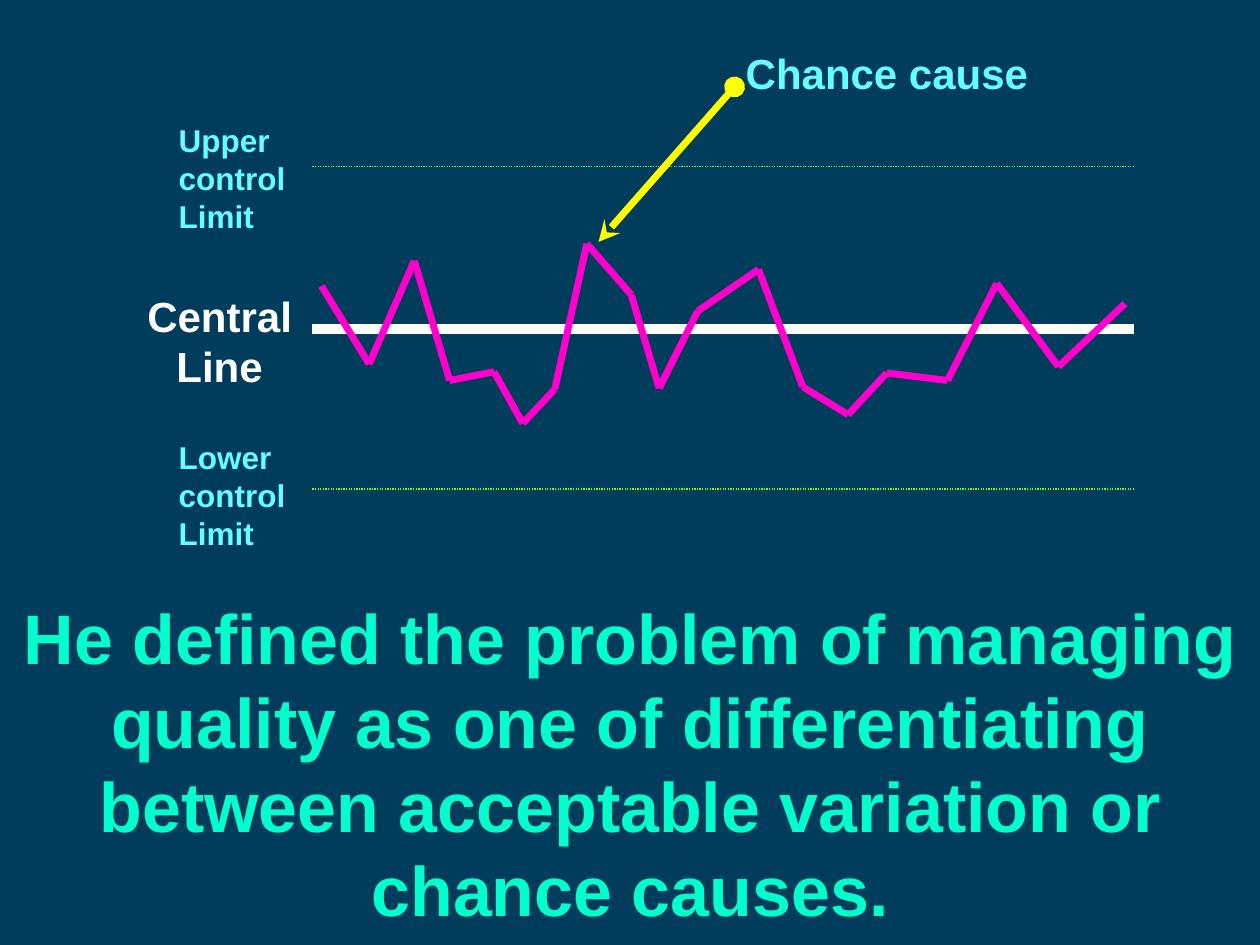
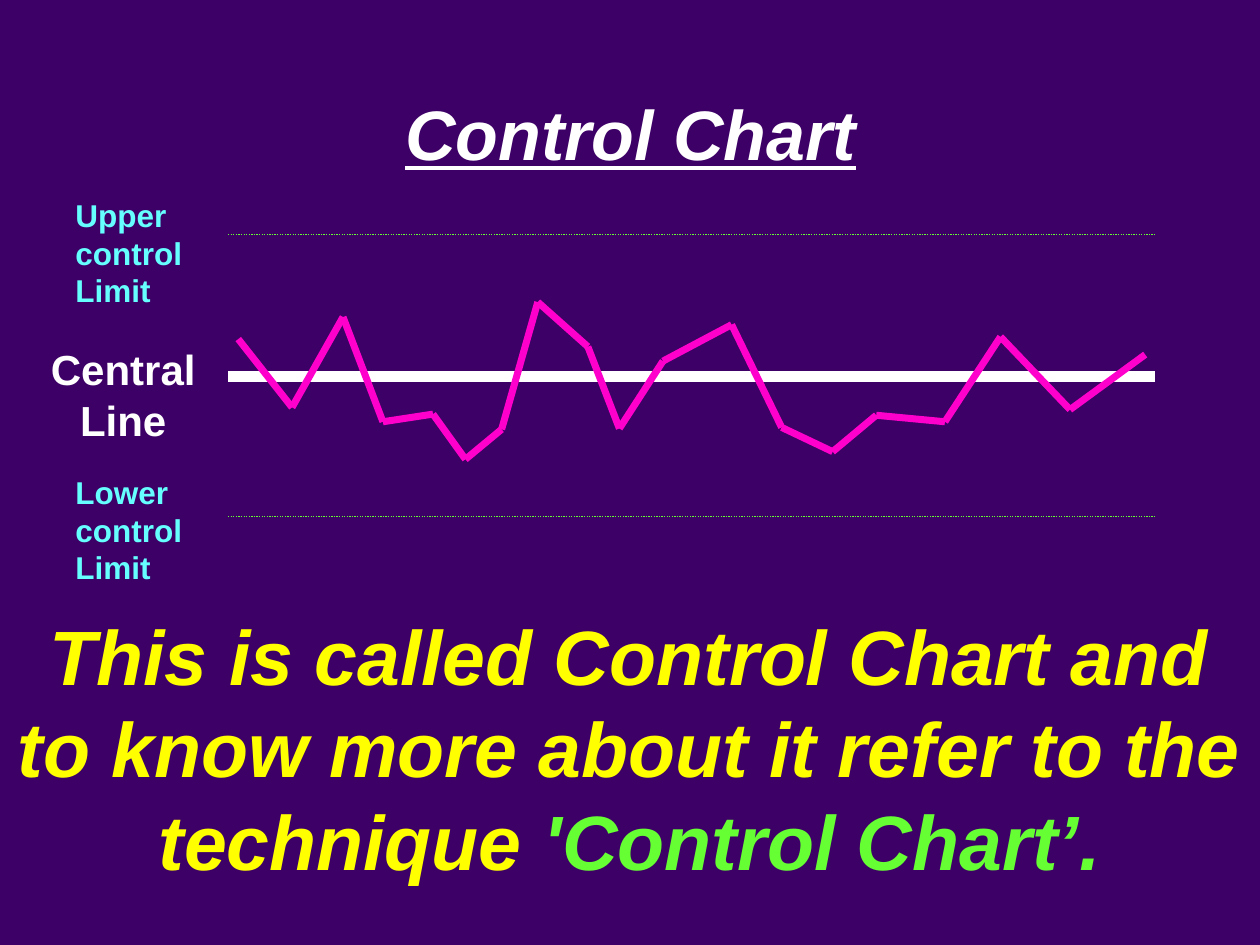
from dataclasses import dataclass
from itertools import pairwise
from lxml.etree import SubElement
from pptx import Presentation
from pptx.dml.color import RGBColor
from pptx.enum.dml import MSO_LINE
from pptx.enum.shapes import MSO_CONNECTOR
from pptx.enum.text import MSO_ANCHOR, MSO_AUTO_SIZE, PP_ALIGN
from pptx.oxml.ns import qn
from pptx.util import Inches, Pt


@dataclass(frozen=True)
class Theme:
    font: str = "Arial"
    teal: str = "003D5C"
    purple: str = "3D0066"
    white: str = "FFFFFF"
    aqua: str = "66FFFF"
    mint: str = "00FFCC"
    green: str = "66FF33"
    pink: str = "FF00CC"
    yellow: str = "FFFF00"
    small: int = 18
    label: int = 24
    title: int = 40
    large: int = 44
    thin: float = 0.75
    trace: int = 4
    thick: int = 6


THEME = Theme()
TITLE_ONLY, BLANK = 5, 6
TRACE = [
    (1.1, 37.1), (6.9, 61.3), (12.4, 29.3), (16.7, 66.4), (22.1, 63.7),
    (25.6, 79.7), (29.5, 69.1), (33.4, 24), (38.8, 39.8), (42.2, 68.8),
    (46.9, 44.9), (54.3, 32), (59.7, 68.4), (65.2, 77), (69.9, 64.1),
    (77.3, 66.4), (83.3, 36.3), (90.8, 62.1), (98.9, 42.6),
]


def rgb(color):
    return RGBColor.from_string(color)


def place(shape, box):
    shape.left, shape.top, shape.width, shape.height = map(Inches, box)


def fill_text(frame, lines, size, color, align=PP_ALIGN.LEFT, wrap=True, italic=False):
    frame.word_wrap = wrap
    frame.auto_size = MSO_AUTO_SIZE.NONE
    frame.vertical_anchor = MSO_ANCHOR.TOP
    for i, line in enumerate(lines):
        para = frame.paragraphs[0] if i == 0 else frame.add_paragraph()
        para.alignment = align
        para.add_run().text = line
        font = para.font
        font.name, font.size = THEME.font, Pt(size)
        font.bold, font.italic = True, italic
        font.color.rgb = rgb(color)


def add_text(slide, box, lines, size, color, **style):
    shape = slide.shapes.add_textbox(*map(Inches, box))
    fill_text(shape.text_frame, lines, size, color, **style)
    return shape.text_frame


def add_line(slide, start, end, color, width, dash=None):
    line = slide.shapes.add_connector(
        MSO_CONNECTOR.STRAIGHT, *map(Inches, (*start, *end)))
    line.line.color.rgb = rgb(color)
    line.line.width = Pt(width)
    if dash:
        line.line.dash_style = dash
    SubElement(line._element.spPr, qn("a:effectLst"))
    return line


def add_plot(slide, box):
    left, top, width, height = box

    def spot(x, y):
        return left + width * x / 100, top + height * y / 100

    def level(y, color, weight, dash=None):
        add_line(slide, spot(0, y), spot(100, y), color, weight, dash)

    level(50.4, THEME.white, THEME.thick)
    mid, row = spot(-11.3, 36.6)
    add_text(slide, (mid - 0.68, row, 1.36, 0.9), ["Central", "Line"],
             THEME.label, THEME.white, align=PP_ALIGN.CENTER, wrap=False)
    for name, y, row in (("Upper", 0, -15.8), ("Lower", 100, 82.3)):
        level(y, THEME.green, THEME.thin, MSO_LINE.ROUND_DOT)
        add_text(slide, (*spot(-17.8, row), 1.18, 1), [name, "control", "Limit"],
                 THEME.small, THEME.aqua)
    for start, end in pairwise(TRACE):
        add_line(slide, spot(*start), spot(*end), THEME.pink, THEME.trace)


def add_cause(slide, box):
    left, top, width, height = box
    arrow = add_line(slide, (left, top + height), (left + 1.08, top + 0.36),
                     THEME.yellow, THEME.trace)
    ends = arrow.line._get_or_add_ln()
    SubElement(ends, qn("a:headEnd"), type="stealth")
    SubElement(ends, qn("a:tailEnd"), type="oval")
    add_text(slide, (left + 1.07, top, width - 1.07, 0.5), ["Chance cause"],
             THEME.label, THEME.aqua, wrap=False)


def new_slide(deck, layout, color):
    slide = deck.slides.add_slide(deck.slide_layouts[layout])
    slide.background.fill.solid()
    slide.background.fill.fore_color.rgb = rgb(color)
    return slide


def cause_slide(deck):
    slide = new_slide(deck, BLANK, THEME.teal)
    add_text(slide, (0, 4.67, 10, 2.77),
             ["He defined the problem of managing quality as one of "
              "differentiating between acceptable variation or chance causes."],
             THEME.title, THEME.mint, align=PP_ALIGN.CENTER)
    add_plot(slide, (2.48, 1.32, 6.52, 2.56))
    add_cause(slide, (4.75, 0.33, 3.51, 1.59))


def chart_slide(deck):
    slide = new_slide(deck, TITLE_ONLY, THEME.purple)
    title = slide.shapes.title
    place(title, (0.17, 0.67, 9.67, 0.77))
    fill_text(title.text_frame, ["Control Chart"], THEME.title, THEME.white,
              align=PP_ALIGN.CENTER, italic=True)
    title.text_frame.paragraphs[0].font.underline = True
    add_plot(slide, (1.81, 1.86, 7.36, 2.24))
    frame = add_text(slide, (0, 4.78, 10, 2.3),
                     ["This is called Control Chart and to know more about it "
                      "refer to the technique "],
                     THEME.large, THEME.yellow, align=PP_ALIGN.CENTER, italic=True)
    term = frame.paragraphs[0].add_run()
    term.text = "'Control Chart’."
    term.font.color.rgb = rgb(THEME.green)


def main():
    deck = Presentation()
    deck.slide_width, deck.slide_height = Inches(10), Inches(7.5)
    cause_slide(deck)
    chart_slide(deck)
    deck.save("out.pptx")


if __name__ == "__main__":
    main()
